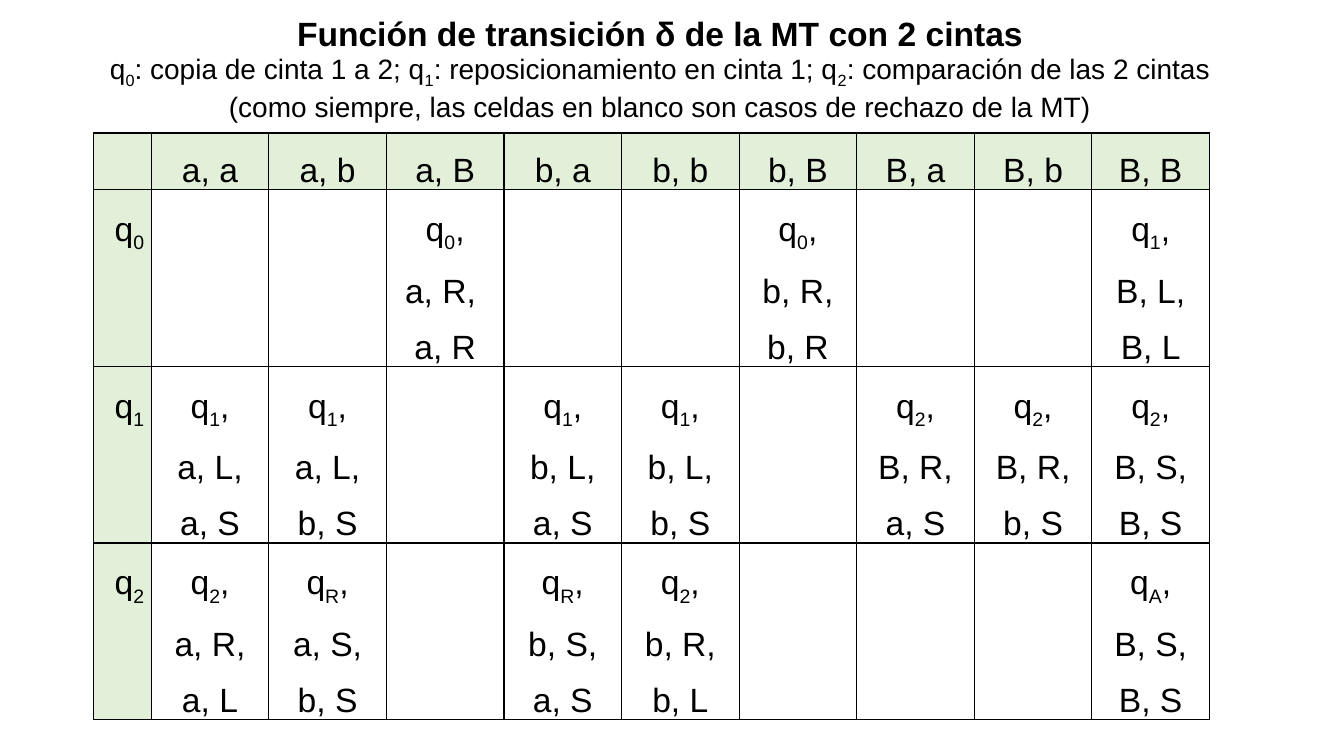
from lxml.etree import SubElement
from pptx import Presentation
from pptx.dml.color import RGBColor
from pptx.enum.text import MSO_ANCHOR, MSO_AUTO_SIZE, PP_ALIGN
from pptx.oxml.ns import qn
from pptx.util import Pt

PX = 6350  # 1920 x 1080 px on a 13.33 x 7.5 inch slide
COLORS = {"ink": "000000", "head": "E2F0D9", "body": "FFFFFF"}
LEFT, WIDE = 79, 1728
FIRST, COL, HEAD, ROW = 82, 168, 81, 229

TITLE = "Función de transición δ de la MT con 2 cintas"
NOTES = [
    "q_0: copia de cinta 1 a 2; q_1: reposicionamiento en cinta 1; "
    "q_2: comparación de las 2 cintas",
    "(como siempre, las celdas en blanco son casos de rechazo de la MT)",
]
# "_" lowers the next letter, "|" starts a new paragraph
GRID = [
    ["", "a, a", "a, b", "a, B", "b, a", "b, b", "b, B", "B, a", "B, b", "B, B"],
    ["q_0", "", "", "q_0,|a, R, |a, R", "", "", "q_0,|b, R,|b, R", "", "",
     "q_1,|B, L,|B, L"],
    ["q_1", "q_1,|a, L,|a, S", "q_1,|a, L,|b, S", "", "q_1,|b, L,|a, S",
     "q_1,|b, L,|b, S", "", "q_2,|B, R,|a, S", "q_2,|B, R,|b, S",
     "q_2,|B, S,|B, S"],
    ["q_2", "q_2,|a, R,|a, L", "q_R,|a, S,|b, S", "", "q_R,|b, S,|a, S",
     "q_2,|b, R,|b, L", "", "", "", "q_A,|B, S,|B, S"],
]


def color(name):
    return RGBColor.from_string(COLORS[name])


def style(item, values):
    for name, value in values.items():
        setattr(item, name, value)


def add_run(para, text, size, bold=False, low=False):
    if not text:
        return
    run = para.add_run()
    run.text = text
    style(run.font, {"name": "Arial", "size": Pt(size), "bold": bold})
    run.font.color.rgb = color("ink")
    if low:
        run._r.get_or_add_rPr().set("baseline", "-25000")


def write(frame, lines, size, bold=False, align=PP_ALIGN.CENTER, space=None):
    for i, line in enumerate(lines):
        para = frame.add_paragraph() if i else frame.paragraphs[0]
        style(para, {"alignment": align, "line_spacing": space})
        first, *rest = line.split("_")
        add_run(para, first, size, bold)
        for part in rest:
            add_run(para, part[0], size, bold, low=True)
            add_run(para, part[1:], size, bold)


def set_frame(frame, top):
    style(frame, {"word_wrap": True, "auto_size": MSO_AUTO_SIZE.NONE,
                  "vertical_anchor": MSO_ANCHOR.TOP,
                  "margin_top": top * PX, "margin_bottom": 0})


def add_title(slide):
    title = slide.shapes.title
    style(title, {"left": LEFT * PX, "top": 12 * PX,
                  "width": WIDE * PX, "height": 62 * PX})
    set_frame(title.text_frame, 7)
    write(title.text_frame, [TITLE], 24, bold=True)


def add_notes(slide):
    box = slide.shapes.add_textbox(LEFT * PX, 74 * PX, WIDE * PX, 112 * PX)
    set_frame(box.text_frame, 0)
    write(box.text_frame, NOTES, 20)


def add_border(cell):
    props = cell._tc.get_or_add_tcPr()
    for side in ("a:lnL", "a:lnR", "a:lnT", "a:lnB"):
        line = SubElement(props, qn(side), w=str(Pt(1)))
        fill = SubElement(line, qn("a:solidFill"))
        SubElement(fill, qn("a:srgbClr"), val=COLORS["ink"])


def fill_cell(cell, text, head, align):
    style(cell, {"margin_left": 10 * PX, "margin_right": 10 * PX,
                 "margin_top": 0, "margin_bottom": 0})
    add_border(cell)
    cell.fill.solid()
    cell.fill.fore_color.rgb = color("head" if head else "body")
    if text:
        write(cell.text_frame, text.split("|"), 24, align=align, space=1.5)


def add_grid(slide):
    rows, cols = len(GRID), len(GRID[0])
    wide, high = FIRST + COL * (cols - 1), HEAD + ROW * (rows - 1)
    table = slide.shapes.add_table(
        rows, cols, 134 * PX, 190 * PX, wide * PX, high * PX).table
    style(table, {"first_row": False, "horz_banding": False})
    for c, col in enumerate(table.columns):
        col.width = (COL if c else FIRST) * PX
    for r, row in enumerate(table.rows):
        row.height = (ROW if r else HEAD) * PX
        for c, text in enumerate(GRID[r]):
            align = PP_ALIGN.CENTER if c else PP_ALIGN.RIGHT
            fill_cell(table.cell(r, c), text, r == 0 or c == 0, align)


def main():
    deck = Presentation()
    style(deck, {"slide_width": 1920 * PX, "slide_height": 1080 * PX})
    slide = deck.slides.add_slide(deck.slide_layouts[5])
    add_grid(slide)
    add_title(slide)
    add_notes(slide)
    deck.save("out.pptx")


if __name__ == "__main__":
    main()
